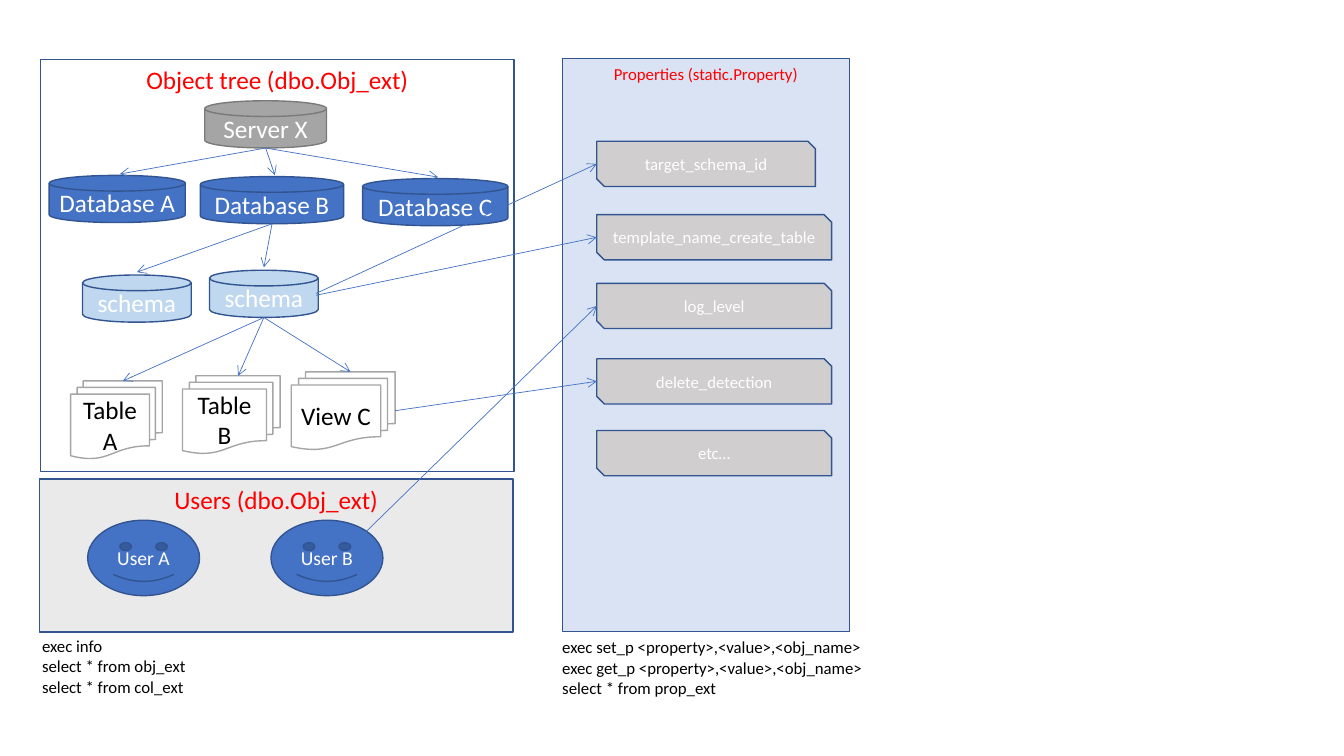
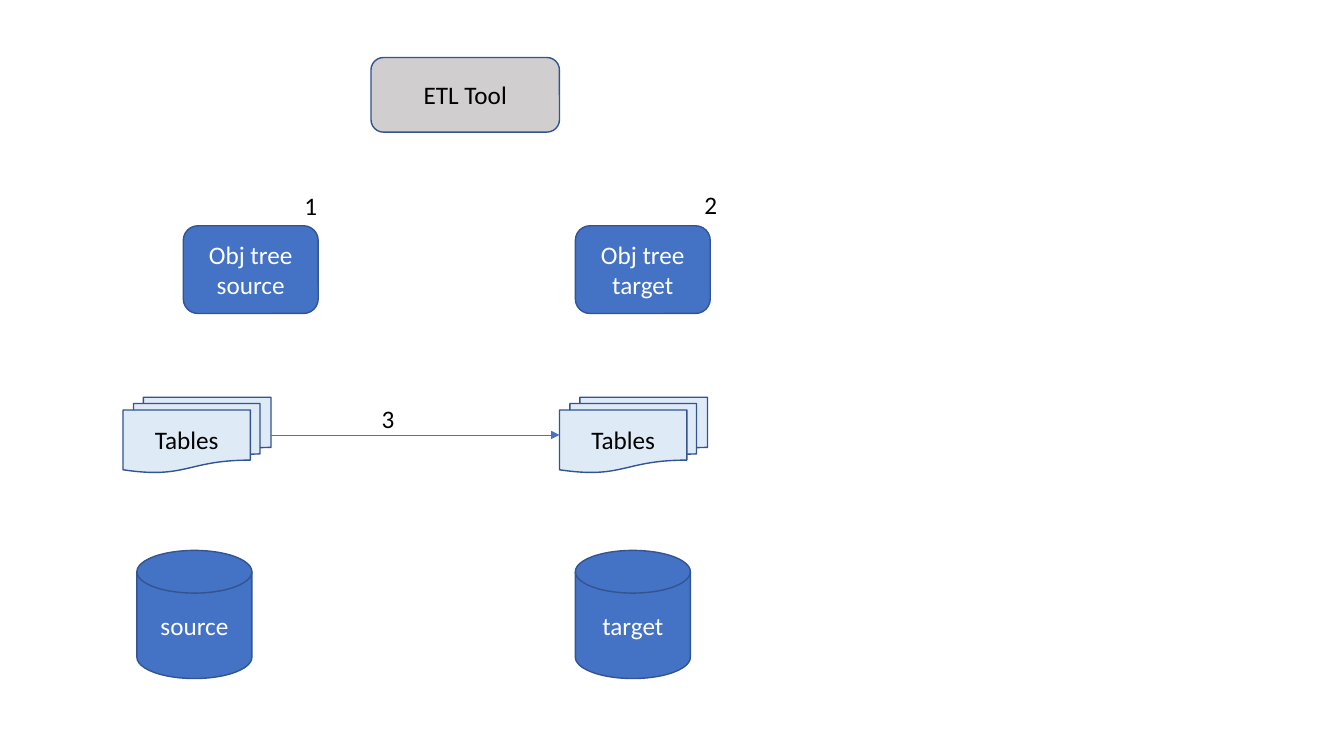
"""Build two diagram slides: an object tree with properties, and an ETL flow."""
import dataclasses

import lxml.etree
import pptx
import pptx.dml.color
import pptx.enum.shapes
import pptx.enum.text
import pptx.oxml.ns
import pptx.util

Cm = pptx.util.Cm
KIND = pptx.enum.shapes.MSO_SHAPE
ALIGN = pptx.enum.text.PP_ALIGN
ANCHOR = pptx.enum.text.MSO_ANCHOR


@dataclasses.dataclass(frozen=True)
class Theme:
    """Colours, type sizes and line widths of the presentation."""
    font: str = "Calibri"
    white: str = "FFFFFF"
    black: str = "000000"
    heading: str = "FF0000"
    blue: str = "4472C4"
    outline: str = "325491"
    light_blue: str = "BFD8EF"
    pale_blue: str = "DEEBF7"
    panel_blue: str = "DAE3F3"
    gray: str = "A5A5A5"
    dark_gray: str = "7A7A7A"
    box_gray: str = "D0CECE"
    panel_gray: str = "EAEAEA"
    large: int = 18
    medium: int = 14
    small: int = 12
    outline_width: float = 1
    arrow_width: float = 0.5


THEME = Theme()


def rgb(value):
    """Return the colour for a hexadecimal value."""
    return pptx.dml.color.RGBColor.from_string(value)


def write_text(frame, *lines, size=THEME.large, color=THEME.black,
               align=ALIGN.LEFT, anchor=ANCHOR.TOP, wrap=True):
    """Write each line as a formatted paragraph of the frame."""
    frame.word_wrap = wrap
    frame.vertical_anchor = anchor
    for index, line in enumerate(lines):
        paragraph = frame.add_paragraph() if index else frame.paragraphs[0]
        paragraph.text = line
        paragraph.alignment = align
        for run in paragraph.runs:
            run.font.name = THEME.font
            run.font.size = pptx.util.Pt(size)
            run.font.color.rgb = rgb(color)


def point_on(shape, across, down):
    """Return the point at the given fractions of a shape's width and height."""
    return (round(shape.left + across * shape.width),
            round(shape.top + down * shape.height))


class Diagram:
    """Draw styled elements on the current slide."""

    def __init__(self, presentation):
        """Start with a presentation and no slide."""
        self.presentation = presentation
        self.slide = None

    def new_slide(self):
        """Make a blank slide the current one."""
        self.slide = self.presentation.slides.add_slide(
            self.presentation.slide_layouts[6])

    def box(self, kind, text, left, top, width, height, fill=THEME.blue,
            line=THEME.outline, color=THEME.white, size=THEME.large,
            anchor=ANCHOR.MIDDLE):
        """Add a filled shape with centred text."""
        shape = self.slide.shapes.add_shape(
            kind, Cm(left), Cm(top), Cm(width), Cm(height))
        shape.shadow.inherit = False
        shape.fill.solid()
        shape.fill.fore_color.rgb = rgb(fill)
        shape.line.color.rgb = rgb(line)
        shape.line.width = pptx.util.Pt(THEME.outline_width)
        write_text(shape.text_frame, text, size=size, color=color,
                   align=ALIGN.CENTER, anchor=anchor)
        return shape

    def panel(self, text, left, top, width, height, fill, size=THEME.large):
        """Add a background panel with a heading at its top."""
        return self.box(KIND.RECTANGLE, text, left, top, width, height, fill,
                        color=THEME.heading, size=size, anchor=ANCHOR.TOP)

    def disk(self, text, left, top, width, height=1.19, **style):
        """Add a database cylinder."""
        return self.box(KIND.FLOWCHART_MAGNETIC_DISK, text,
                        left, top, width, height, **style)

    def documents(self, text, left, top, width, height, **style):
        """Add a stack of documents."""
        return self.box(KIND.FLOWCHART_MULTIDOCUMENT, text, left, top,
                        width, height, color=THEME.black, **style)

    def label(self, *lines, left, top, width, height, size=THEME.large):
        """Add a text box that does not wrap."""
        shape = self.slide.shapes.add_textbox(
            Cm(left), Cm(top), Cm(width), Cm(height))
        write_text(shape.text_frame, *lines, size=size, wrap=False)

    def arrow(self, start, end, head="arrow"):
        """Add a thin arrow between two points."""
        connector = self.slide.shapes.add_connector(
            pptx.enum.shapes.MSO_CONNECTOR.STRAIGHT, *start, *end)
        connector.line.color.rgb = rgb(THEME.blue)
        connector.line.width = pptx.util.Pt(THEME.arrow_width)
        qn = pptx.oxml.ns.qn
        lxml.etree.SubElement(connector.line._get_or_add_ln(),
                              qn("a:tailEnd"), type=head)
        lxml.etree.SubElement(connector._element.spPr, qn("a:effectLst"))


def draw_object_tree(diagram):
    """Draw the object tree, the users and their properties."""
    diagram.new_slide()
    diagram.panel("Object tree (dbo.Obj_ext)", 1.02, 1.5, 11.94, 10.39,
                  THEME.white)
    diagram.panel("Users (dbo.Obj_ext)", 0.99, 12.07, 11.94, 3.86,
                  THEME.panel_gray)
    diagram.panel("Properties (static.Property)", 14.17, 1.47, 7.24, 14.45,
                  THEME.panel_blue, size=THEME.small)

    server = diagram.disk("Server X", 5.16, 2.54, 3.07,
                          fill=THEME.gray, line=THEME.dark_gray)
    databases = [diagram.disk(f"Database {letter}", left, top, width)
                 for letter, left, top, width in (
                     ("A", 1.24, 4.42, 3.43),
                     ("B", 5.05, 4.45, 3.61),
                     ("C", 9.14, 4.5, 3.66))]
    schemas = [diagram.disk("schema", left, top, 2.74, fill=THEME.light_blue)
               for left, top in ((2.08, 6.93), (5.28, 6.81))]
    documents = [diagram.documents(text, left, top, width, 1.96,
                                   fill=THEME.white, line=THEME.gray)
                 for text, left, top, width in (
                     ("Table A", 1.78, 9.6, 2.31),
                     ("Table B", 4.6, 9.47, 2.46),
                     ("View C", 7.34, 9.37, 2.62))]
    users = [diagram.box(KIND.SMILEY_FACE, text, left, 13.11, 2.82, 1.9,
                         size=THEME.medium)
             for text, left in (("User A", 2.21), ("User B", 6.83))]
    properties = [diagram.box(KIND.SNIP_2_DIAG_RECTANGLE, text, 15.04, top,
                              width, 1.14, fill=THEME.box_gray,
                              size=THEME.small)
                  for text, top, width in (
                      ("target_schema_id", 3.56, 5.51),
                      ("template_name_create_table", 5.41, 5.92),
                      ("log_level", 7.14, 5.92),
                      ("delete_detection", 9.04, 5.92),
                      ("etc…", 10.85, 5.92))]

    for parent, children, across, down in (
            (server, databases, 0.52, -0.03),
            (databases[1], schemas, 0.5, -0.06),
            (schemas[1], documents, 0.57, 0)):
        for child in children:
            diagram.arrow(point_on(parent, 0.5, 1),
                          point_on(child, across, down))

    owners = ((schemas[1], 0.98, 0.49), (schemas[1], 0.98, 0.53),
              (users[1], 0.85, 0.15), (documents[2], 1, 0.5))
    for owner, target in zip(owners, properties):
        diagram.arrow(point_on(*owner), point_on(target, 0, 0.5))

    diagram.label("exec set_p <property>,<value>,<obj_name>",
                  "exec get_p <property>,<value>,<obj_name>",
                  "select * from prop_ext",
                  left=13.92, top=15.93, width=8.15, height=1.8,
                  size=THEME.small)
    diagram.label("exec info\vselect * from obj_ext\vselect * from col_ext",
                  left=0.81, top=15.9, width=4.19, height=1.8,
                  size=THEME.small)


def draw_etl_flow(diagram):
    """Draw the tool with its source and target sides."""
    diagram.new_slide()
    diagram.box(KIND.ROUNDED_RECTANGLE, "ETL Tool", 9.35, 1.45, 4.75, 1.88,
                fill=THEME.box_gray, color=THEME.black)
    tables = []
    for side, tree_left, tables_left, disk_left in (
            ("source", 4.62, 3.1, 3.45), ("target", 14.5, 14.1, 14.5)):
        diagram.box(KIND.ROUNDED_RECTANGLE, f"Obj tree {side}",
                    tree_left, 5.69, 3.4, 2.21)
        tables.append(diagram.documents("Tables", tables_left, 10.01, 3.73,
                                        1.9, fill=THEME.pale_blue))
        diagram.disk(side, disk_left, 13.87, 2.9, 3.23)
    diagram.arrow(point_on(tables[0], 1, 0.5), point_on(tables[1], 0, 0.5),
                  head="triangle")
    for step, left, top in (("1", 7.42, 4.67), ("2", 17.5, 4.65),
                            ("3", 9.37, 10.03)):
        diagram.label(step, left=left, top=top, width=0.84, height=1.02)


def main():
    """Build and save the presentation."""
    presentation = pptx.Presentation()
    presentation.slide_width = Cm(33.87)
    presentation.slide_height = Cm(19.05)
    diagram = Diagram(presentation)
    draw_object_tree(diagram)
    draw_etl_flow(diagram)
    presentation.save("out.pptx")


if __name__ == "__main__":
    main()
